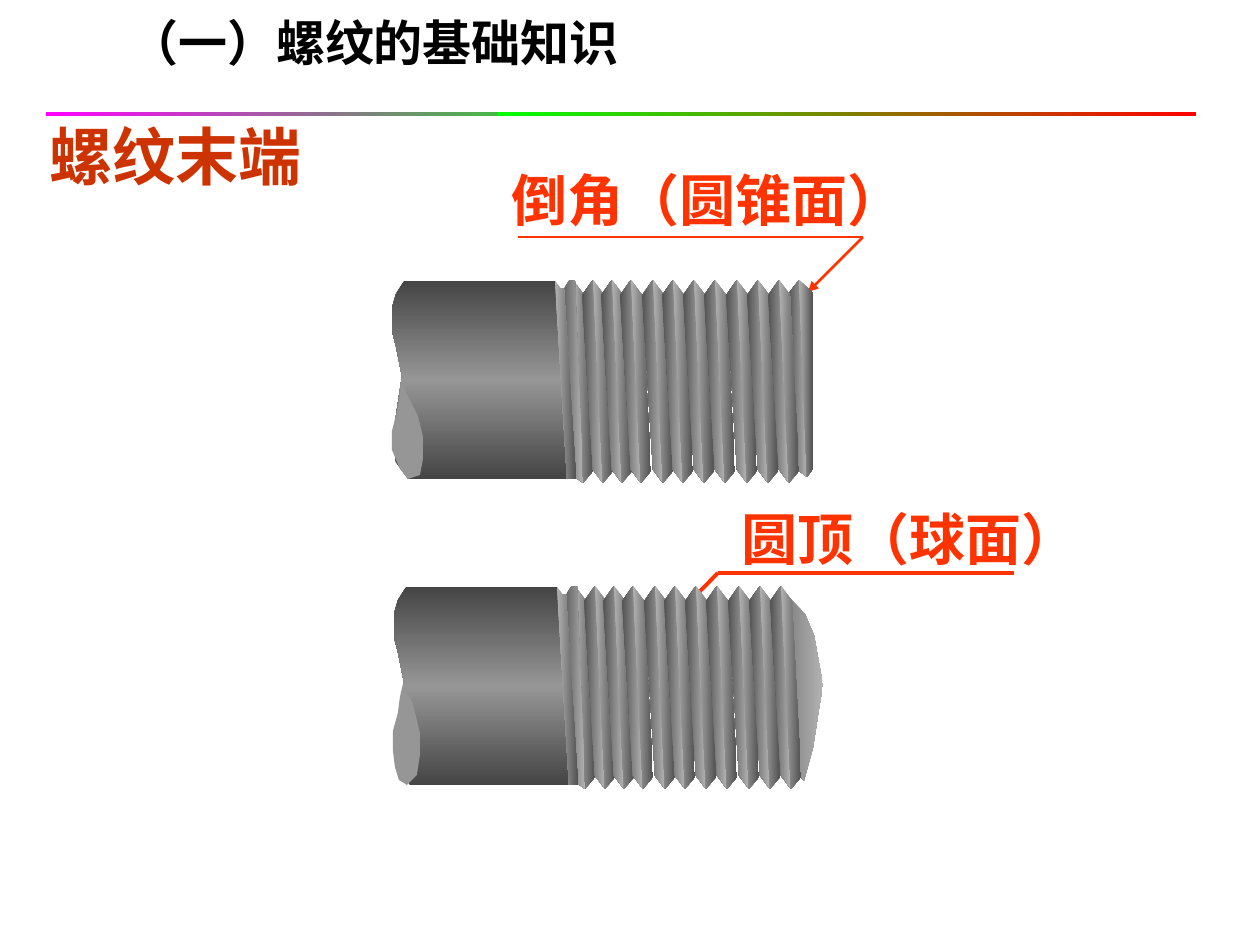
from copy import deepcopy
from itertools import pairwise

from pptx import Presentation
from pptx import util as u
from pptx.dml.color import RGBColor
from pptx.enum import shapes, text
from pptx.oxml.ns import qn
from pptx.oxml.xmlchemy import OxmlElement

PX = 914400 // 126

ORANGE = RGBColor(0xFF, 0x33, 0x00)
RUST = RGBColor(0xCC, 0x33, 0x00)
BLACK = RGBColor(0x00, 0x00, 0x00)
MAGENTA = RGBColor(0xFF, 0x00, 0xFF)
GREEN = RGBColor(0x00, 0xFF, 0x00)
RED = RGBColor(0xFF, 0x00, 0x00)
STEEL_EDGE = RGBColor(0x45, 0x45, 0x45)
STEEL = RGBColor(0x96, 0x96, 0x96)
GROOVE = RGBColor(0x52, 0x52, 0x52)
COLLAR = RGBColor(0x65, 0x65, 0x65)
DOME_SHADE = RGBColor(0x86, 0x86, 0x86)
SHINE = RGBColor(0xB2, 0xB2, 0xB2)

SHANK = [(10, 95), (4, 65), (0, 50), (0, 27), (4, 13), (12, 0), (163, 0), (166, 8),
         (176, 198), (16, 198), (4, 181), (1, 155), (6, 122)]
RUNOUT = [(163, 0), (175, 198), (182, 198), (184, 197), (172, 8), (168, 7)]
FIRST_TURN = [(183, -1), (177, 0), (173, 6), (172, 8), (184, 197), (191, 202)]
CRESTS = [181, 201, 220, 239, 261, 281, 302, 323, 345, 366, 387]
LEFT_FLANK = [(0, -1), (-11, 14), (0, 189), (10, 202)]
RIGHT_FLANK = [(0, -1), (10, 202), (20, 190), (11, 14)]

CHAMFERED_BREAK = [(10, 103), (26, 135), (31, 156), (31, 178), (28, 194), (16, 198),
                   (8, 188), (0, 169), (0, 150), (5, 130)]
CHAMFER = [([(407, -1), (396, 13), (406, 189), (415, 196)], (GROOVE, SHINE)),
           ([(407, -1), (415, 196), (421, 188), (421, 12)], (SHINE, GROOVE))]
DOMED_BREAK = [(9, 97), (19, 117), (26, 146), (26, 168), (23, 188), (13, 198),
               (5, 193), (1, 180), (-1, 164), (-1, 144), (4, 126), (6, 110)]
DOME = [([(411, 27), (396, 11), (404, 187), (410, 194), (419, 161), (422, 142),
          (425, 122), (429, 98), (425, 76), (420, 48)], (DOME_SHADE, SHINE))]


def paint(shape, colors, angle=0):
    shape.shadow.inherit = False
    shape.line.fill.background()
    if len(colors) == 1:
        shape.fill.solid()
        shape.fill.fore_color.rgb = colors[0]
        return
    shape.fill.gradient()
    shape.fill.gradient_angle = angle
    stop_list = shape.element.spPr.find(".//" + qn("a:gsLst"))
    for _ in colors[2:]:
        stop_list.append(deepcopy(stop_list[0]))
    for i, (stop, color) in enumerate(zip(shape.fill.gradient_stops, colors)):
        stop.color.rgb = color
        stop.position = i / (len(colors) - 1)


def add_facet(slide, origin, outline, colors, angle=0):
    points = [(origin[0] + x, origin[1] + y) for x, y in outline]
    builder = slide.shapes.build_freeform(*points[0], scale=PX)
    builder.add_line_segments(points[1:], close=True)
    paint(builder.convert_to_shape(), colors, angle)


def add_label(slide, box, words, size, color, font="Arial",
              align=text.PP_ALIGN.CENTER, wrap=True):
    frame = slide.shapes.add_textbox(*(n * PX for n in box)).text_frame
    frame.word_wrap = wrap
    frame.vertical_anchor = text.MSO_ANCHOR.MIDDLE
    paragraph = frame.paragraphs[0]
    paragraph.text = words
    paragraph.alignment = align
    paragraph.font.size = u.Pt(size)
    paragraph.font.bold = True
    paragraph.font.name = font
    paragraph.font.color.rgb = color


def add_heading(slide, box):
    left, top, width, _ = box
    add_label(slide, (left + 71, top, 824, 84), "（一）螺纹的基础知识", 28, BLACK,
              "Noto Sans CJK SC", text.PP_ALIGN.LEFT)
    for start, end, colors in [(0, 626, (MAGENTA, GREEN)), (452, width, (GREEN, RED))]:
        band = slide.shapes.add_shape(
            shapes.MSO_SHAPE.RECTANGLE,
            *(n * PX for n in (left + start, top + 112, end - start, 4)))
        paint(band, colors)


def add_callout(slide, box, words, leader, weight, wrap):
    add_label(slide, box, words, 32, ORANGE, wrap=wrap)
    points = [((box[0] + x) * PX, (box[1] + y) * PX) for x, y in leader]
    for i, (start, end) in enumerate(pairwise(points)):
        line = slide.shapes.add_connector(shapes.MSO_CONNECTOR.STRAIGHT, *start, *end)
        line.line.color.rgb = ORANGE
        line.line.width = u.Pt(weight)
        if i == 0:
            arrow = OxmlElement("a:headEnd")
            arrow.set("type", "triangle")
            line.line._get_or_add_ln().append(arrow)
        line.element.spPr.append(OxmlElement("a:effectLst"))


def add_bolt(slide, origin, tip, break_face):
    add_facet(slide, origin, SHANK, (STEEL_EDGE, STEEL, STEEL_EDGE), 90)
    for outline, colors in tip:
        add_facet(slide, origin, outline, colors)
    for i, crest in enumerate(CRESTS):
        crest_origin = (origin[0] + crest, origin[1])
        if i:
            add_facet(slide, crest_origin, LEFT_FLANK, (GROOVE, SHINE))
        add_facet(slide, crest_origin, RIGHT_FLANK, (SHINE, GROOVE))
    add_facet(slide, origin, FIRST_TURN, (COLLAR, SHINE))
    add_facet(slide, origin, RUNOUT, (SHINE, GROOVE))
    add_facet(slide, origin, break_face, (STEEL,))


def main():
    deck = Presentation()
    deck.slide_width, deck.slide_height = u.Inches(10), u.Inches(7.5)
    slide = deck.slides.add_slide(deck.slide_layouts[6])
    add_callout(slide, (499, 160, 418, 79), "倒角（圆锥面）",
                [(309, 132), (364, 77), (19, 77)], 1.5, False)
    add_callout(slide, (708, 499, 403, 79), "圆顶（球面）",
                [(-65, 150), (10, 74), (306, 74)], 2.25, True)
    add_bolt(slide, (392, 281), CHAMFER, CHAMFERED_BREAK)
    add_bolt(slide, (394, 587), DOME, DOMED_BREAK)
    add_label(slide, (0, 111, 352, 88), "螺纹末端", 36, RUST)
    add_heading(slide, (46, 0, 1150, 116))
    deck.save("out.pptx")


if __name__ == "__main__":
    main()
